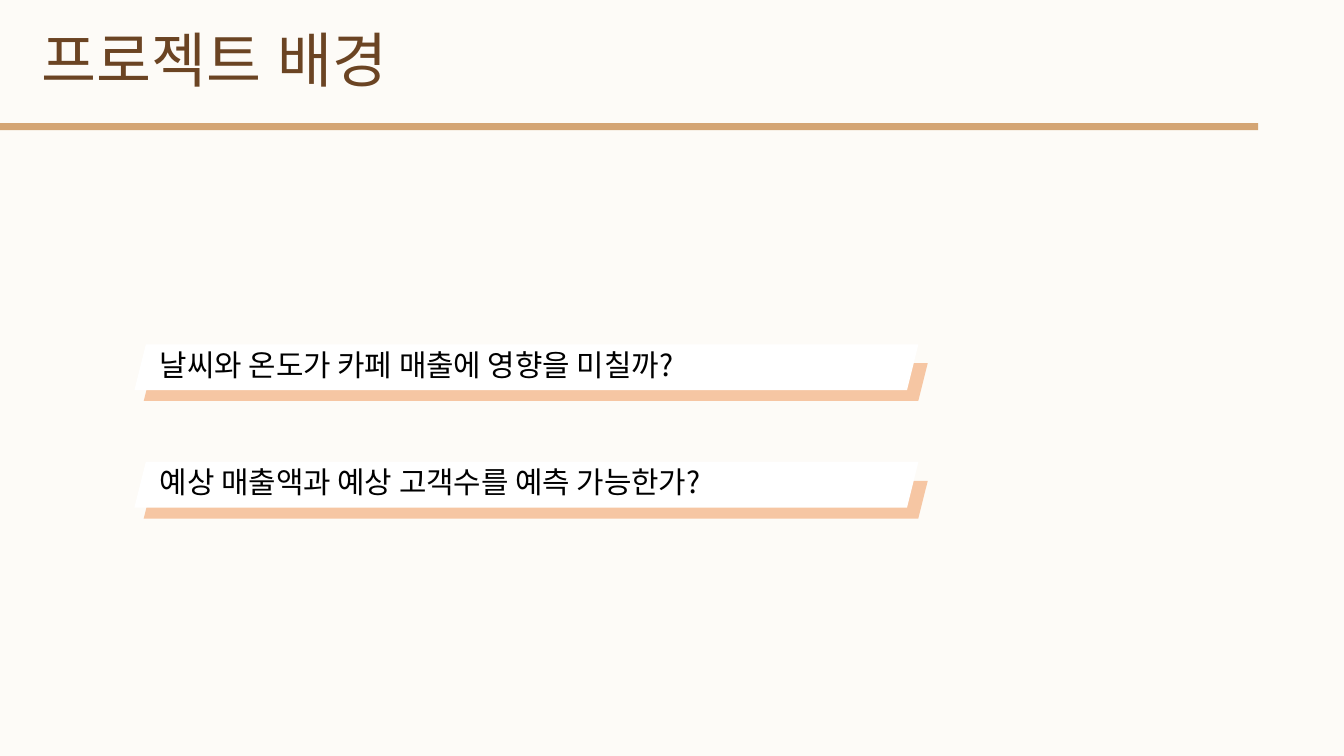
import pptx
import pptx.dml.color
import pptx.enum.shapes
import pptx.enum.text
import pptx.oxml
import pptx.oxml.ns
import pptx.util
from dataclasses import dataclass

Pt = pptx.util.Pt
Shape = pptx.enum.shapes.MSO_SHAPE


@dataclass(frozen=True)
class Theme:
    background: str = "FDFBF7"
    rule: str = "D4A574"
    accent: str = "ED7D31"
    accent_opacity: int = 42
    panel: str = "FFFFFF"
    title: str = "6B4423"
    text: str = "000000"
    title_font: str = "Lato"
    text_font: str = "Noto Sans CJK KR"
    title_size: float = 32
    text_size: float = 16


def rgb(value):
    return pptx.dml.color.RGBColor.from_string(value)


def drawing_element(tag, **attributes):
    element = pptx.oxml.parse_xml(f"<a:{tag} {pptx.oxml.ns.nsdecls('a')}/>")
    for name, value in attributes.items():
        element.set(name, value)
    return element


class SlideBuilder:
    def __init__(self, slide, theme):
        self.slide = slide
        self.theme = theme
        fill = slide.background.fill
        fill.solid()
        fill.fore_color.rgb = rgb(theme.background)

    def shape(self, shapes, kind, bounds, color, opacity=100):
        shape = shapes.add_shape(kind, *map(Pt, bounds))
        shape.shadow.inherit = False
        shape.line.fill.background()
        shape.fill.solid()
        shape.fill.fore_color.rgb = rgb(color)
        if opacity < 100:
            color_element = shape._element.spPr.find(".//" + pptx.oxml.ns.qn("a:srgbClr"))
            color_element.append(drawing_element("alpha", val=str(opacity * 1000)))

    def set_text(self, box, bounds, text, font, color, paragraph_format):
        """Place a text holder and fill it with one left-aligned paragraph."""
        box.left, box.top, box.width, box.height = map(Pt, bounds)
        frame_format = {
            "margin_left": 0, "margin_top": 0, "margin_right": 0, "margin_bottom": 0,
            "word_wrap": True,
            "auto_size": pptx.enum.text.MSO_AUTO_SIZE.NONE,
            "vertical_anchor": pptx.enum.text.MSO_ANCHOR.TOP,
        }
        for name, value in frame_format.items():
            setattr(box.text_frame, name, value)
        para = box.text_frame.paragraphs[0]
        para.alignment = pptx.enum.text.PP_ALIGN.LEFT
        for name, value in paragraph_format.items():
            setattr(para, name, Pt(value))
        span = para.add_run()
        span.text = text
        for name, value in font.items():
            setattr(span.font, name, value)
        span.font.color.rgb = rgb(color)
        # Hangul takes its typeface from the East Asian font slot.
        span.font._element.append(drawing_element("ea", typeface=font["name"]))

    def title(self, text):
        theme = self.theme
        font = {"name": theme.title_font, "size": Pt(theme.title_size)}
        self.set_text(self.slide.shapes.title, (22.3, 23.8, 344.9, 27.4), text, font,
                      theme.title, {"line_spacing": 27, "space_before": 0, "space_after": 6})

    def title_rule(self):
        self.shape(self.slide.shapes, Shape.RECTANGLE, (0, 66, 674, 3.7), self.theme.rule)

    def question(self, top, text, text_width):
        """Draw a white slanted panel over a tinted one, with the question on it."""
        theme = self.theme
        panels = self.slide.shapes.add_group_shape().shapes
        self.shape(panels, Shape.PARALLELOGRAM, (77, top + 10.1, 420, 20.2),
                   theme.accent, theme.accent_opacity)
        self.shape(panels, Shape.PARALLELOGRAM, (72, top, 420, 24.5), theme.panel)
        bounds = (85.7, top, text_width, 20.2)
        box = self.slide.shapes.add_textbox(*map(Pt, bounds))
        font = {"name": theme.text_font, "size": Pt(theme.text_size)}
        self.set_text(box, bounds, text, font, theme.text, {"line_spacing": 20.2})


def main():
    deck = pptx.Presentation()
    deck.slide_width, deck.slide_height = Pt(720), Pt(405)
    title_only = deck.slide_layouts.get_by_name("Title Only")
    page = SlideBuilder(deck.slides.add_slide(title_only), Theme())

    page.title_rule()
    page.title("프로젝트 배경")
    questions = [
        ("날씨와 온도가 카페 매출에 영향을 미칠까?", 330),
        ("예상 매출액과 예상 고객수를 예측 가능한가?", 384.5),
    ]
    first_top, pitch = 184.5, 63
    for index, (text, text_width) in enumerate(questions):
        page.question(first_top + index * pitch, text, text_width)

    deck.save("out.pptx")


if __name__ == "__main__":
    main()
